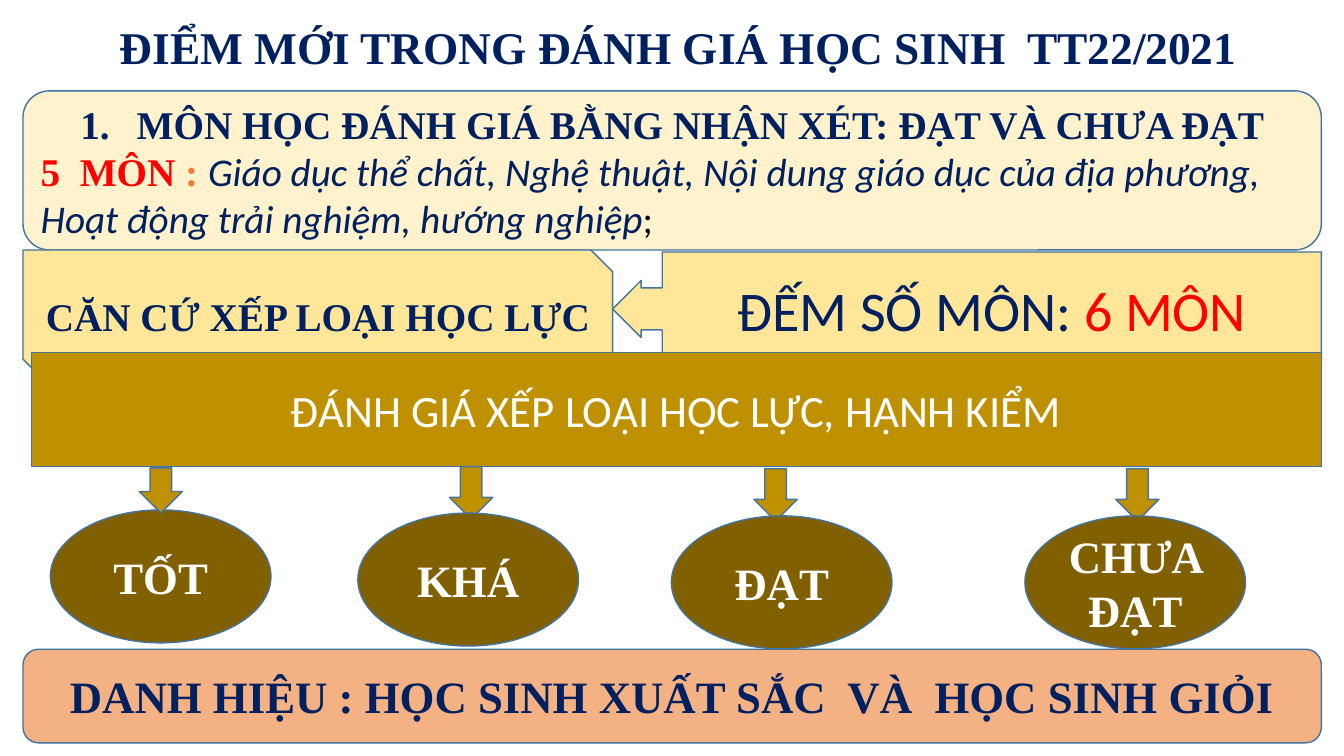
from typing import NamedTuple

from lxml import etree
from pptx import Presentation
from pptx.dml.color import RGBColor
from pptx.enum import shapes, text
from pptx.oxml import ns
from pptx.util import Cm, Pt

SERIF, SANS = "Times New Roman", "Calibri"
NAVY, RED, WHITE, OUTLINE = "002060", "FF0000", "FFFFFF", "43739E"
GOLD, PALE_GOLD, BROWN = "BF9000", "FFE699", "806000"
FORM = shapes.MSO_SHAPE


class Box(NamedTuple):
    left: float
    top: float
    width: float
    height: float


class Span(NamedTuple):
    words: str
    color: str


class Grade(NamedTuple):
    label: str
    oval: Box
    arrow: Box


OVAL_SIZE = (5.56, 3.35)
ARROW_WIDTH = 1.09
GRADES = [
    Grade("TỐT", Box(1.27, 12.85, *OVAL_SIZE), Box(3.51, 11.79, ARROW_WIDTH, 1.14)),
    Grade("KHÁ", Box(9.02, 12.93, *OVAL_SIZE), Box(11.33, 11.76, ARROW_WIDTH, 1.32)),
    Grade("ĐẠT", Box(16.92, 13, *OVAL_SIZE), Box(19, 11.81, ARROW_WIDTH, 1.32)),
    Grade("CHƯA ĐẠT", Box(25.83, 13, *OVAL_SIZE), Box(28.12, 11.81, ARROW_WIDTH, 1.32)),
]


def rgb(color: str) -> RGBColor:
    return RGBColor.from_string(color)


def style(font, face: str, size: float, bold: bool) -> None:
    font.name, font.size, font.bold = face, Pt(size), bold


def write(paragraph, spans: list[Span], face: str, size: float, bold: bool) -> None:
    """Fill a centred paragraph whose runs differ only in colour."""
    paragraph.alignment = text.PP_ALIGN.CENTER
    style(paragraph.font, face, size, bold)
    for words, color in spans:
        run = paragraph.add_run()
        run.text = words
        run.font.color.rgb = rgb(color)


def add_panel(slide, form, box: Box, fill: str):
    panel = slide.shapes.add_shape(form, *map(Cm, box))
    panel.shadow.inherit = False
    panel.fill.solid()
    panel.fill.fore_color.rgb = rgb(fill)
    panel.line.color.rgb = rgb(OUTLINE)
    panel.line.width = Pt(1)
    panel.text_frame.vertical_anchor = text.MSO_ANCHOR.MIDDLE
    return panel


def add_label(slide, form, box: Box, fill: str, spans: list[Span],
              size: float, face: str = SERIF):
    panel = add_panel(slide, form, box, fill)
    write(panel.text_frame.paragraphs[0], spans, face, size, face == SERIF)
    return panel


def add_oval(slide, grade: Grade) -> None:
    add_label(slide, FORM.OVAL, grade.oval, BROWN, [Span(grade.label, WHITE)], 32)


def number(paragraph, indent: float) -> None:
    properties = paragraph._p.get_or_add_pPr()
    properties.set("marL", str(Cm(indent)))
    properties.set("indent", str(-Cm(indent)))
    etree.SubElement(properties, ns.qn("a:buAutoNum"), type="arabicPeriod")


def add_subjects(slide) -> None:
    """Panel on the subjects assessed by comments."""
    panel = add_panel(slide, FORM.ROUNDED_RECTANGLE, Box(0.58, 2.29, 32.72, 4.01), "FFF2CC")
    heading = panel.text_frame.paragraphs[0]
    number(heading, 1.42)
    write(heading, [Span("MÔN HỌC ĐÁNH GIÁ BẰNG NHẬN XÉT: ĐẠT VÀ CHƯA ĐẠT", NAVY)],
          SERIF, 28, True)
    subjects = panel.text_frame.add_paragraph()
    write(subjects, [
        Span("5  MÔN ", RED),
        Span(": ", "ED7D31"),
        Span("Giáo dục thể chất, Nghệ thuật, Nội dung giáo dục của địa phương, "
             "Hoạt động trải nghiệm, hướng nghiệp", NAVY),
        Span(";", "000000"),
    ], SERIF, 28, True)
    subjects.alignment = text.PP_ALIGN.LEFT
    names, semicolon = subjects.runs[2:]
    for run in (names, semicolon):
        style(run.font, SANS, 28, False)
    names.font.italic = True


def add_title(slide) -> None:
    title = slide.shapes.title
    title.left, title.top, title.width, title.height = map(Cm, (1.22, 0.33, 31.75, 1.85))
    frame = title.text_frame
    frame.auto_size = text.MSO_AUTO_SIZE.NONE
    frame.vertical_anchor = text.MSO_ANCHOR.MIDDLE
    heading = frame.paragraphs[0]
    heading.line_spacing = 0.9
    write(heading, [Span("ĐIỂM MỚI TRONG ĐÁNH GIÁ HỌC SINH  TT22/2021", NAVY)],
          SERIF, 32.4, True)


def main() -> None:
    deck = Presentation()
    deck.slide_width, deck.slide_height = Cm(33.87), Cm(19.05)
    slide = deck.slides.add_slide(deck.slide_layouts[5])

    add_title(slide)
    add_subjects(slide)
    add_label(slide, FORM.SNIP_2_DIAG_RECTANGLE, Box(0.58, 6.3, 14.86, 3.3), PALE_GOLD,
              [Span("CĂN CỨ XẾP LOẠI HỌC LỰC", NAVY)], 28)
    count = add_label(slide, FORM.LEFT_ARROW_CALLOUT, Box(15.44, 6.35, 17.86, 2.87), PALE_GOLD,
                      [Span("ĐẾM SỐ MÔN: ", NAVY), Span("6 MÔN", RED)], 40, SANS)
    for index, ratio in enumerate((0.37, 0.25, 0.25, 0.93)):
        count.adjustments[index] = ratio
    add_label(slide, FORM.RECTANGLE, Box(0.79, 8.89, 32.51, 2.87), GOLD,
              [Span("ĐÁNH GIÁ XẾP LOẠI HỌC LỰC, HẠNH KIỂM", WHITE)], 32, SANS)

    # The first oval lies beneath its arrow, the others above theirs.
    best, *others = GRADES
    add_oval(slide, best)
    for grade in GRADES:
        add_panel(slide, FORM.DOWN_ARROW, grade.arrow, GOLD)
    for grade in others:
        add_oval(slide, grade)

    add_label(slide, FORM.ROUNDED_RECTANGLE, Box(0.58, 16.36, 32.72, 2.36), "F4B183",
              [Span("DANH HIỆU : HỌC SINH XUẤT SẮC  VÀ  HỌC SINH GIỎI", NAVY)], 32)
    deck.save("out.pptx")


if __name__ == "__main__":
    main()
